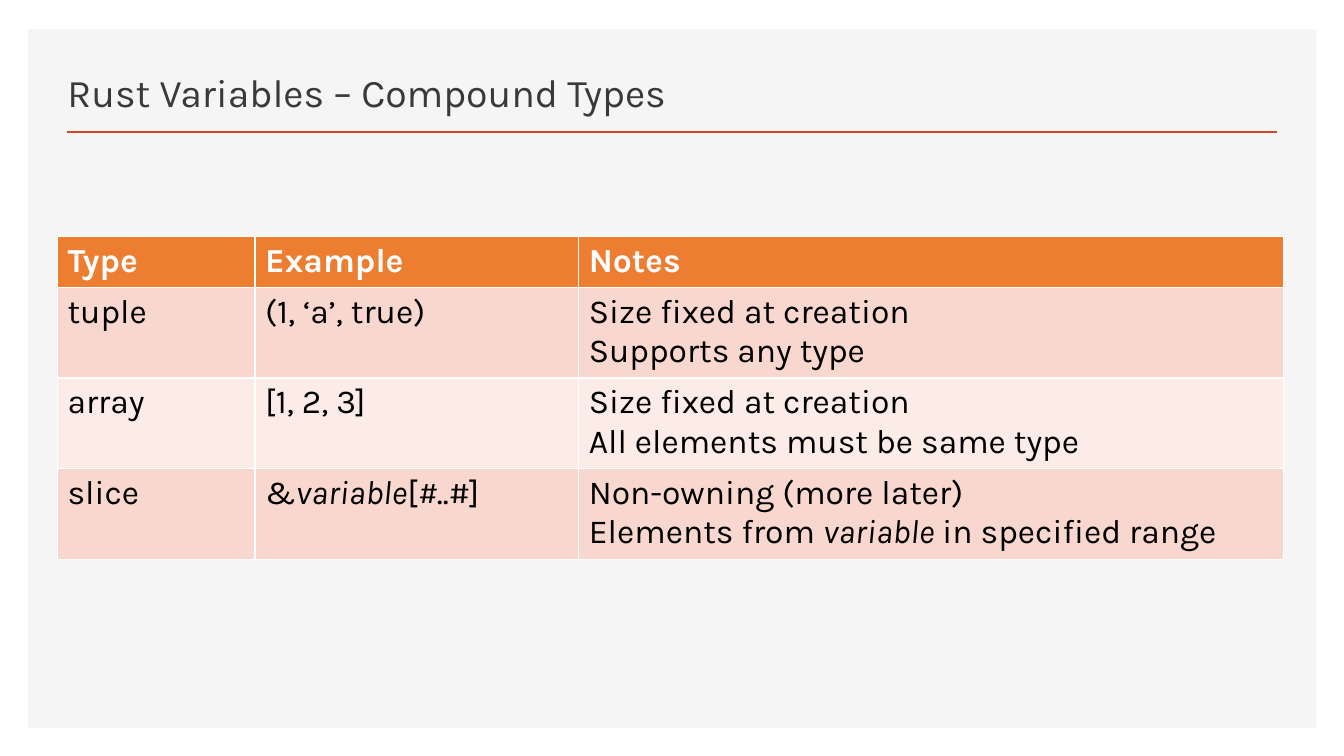
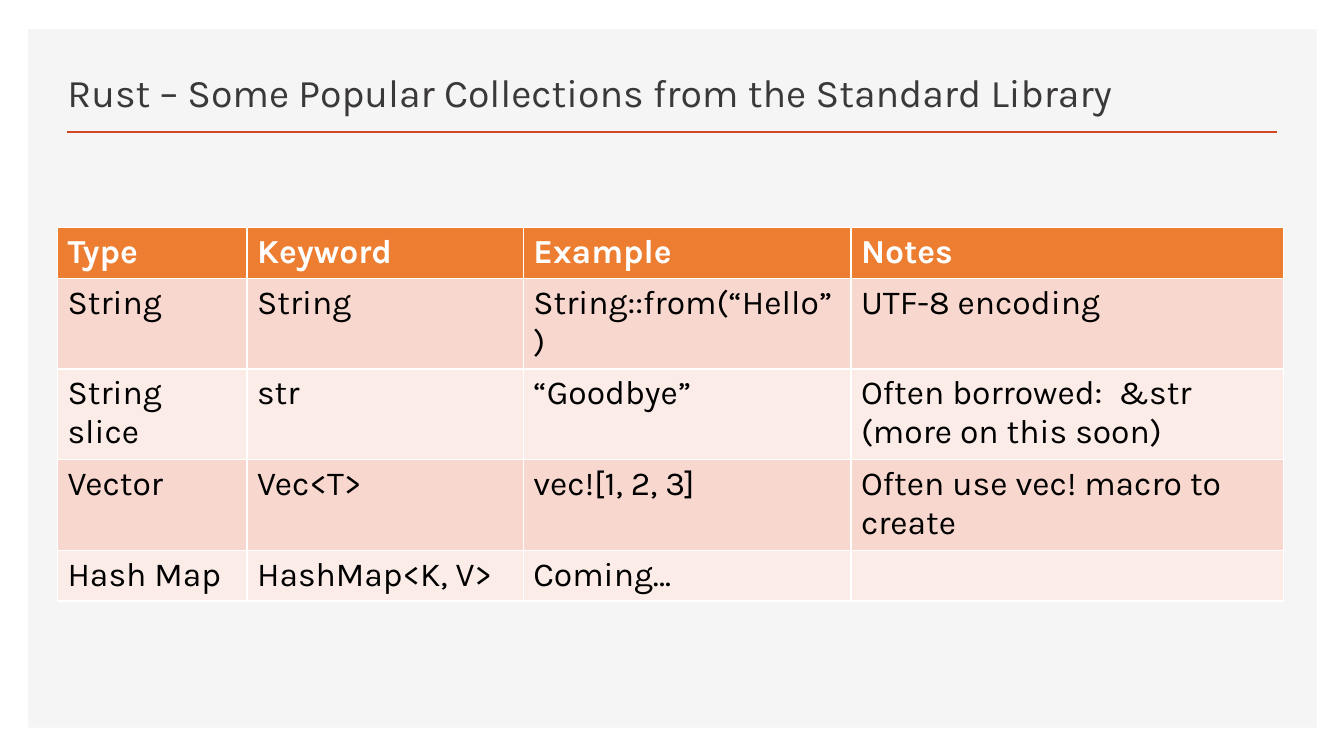
from pptx import Presentation, util as u
from pptx.dml.color import RGBColor
from pptx.enum import shapes, text
from lxml import etree

# Shared look
FONT = "Karla"
PANEL = RGBColor(0xF5, 0xF5, 0xF5)
RULE = RGBColor(0xD2, 0x47, 0x26)
TITLE = RGBColor(0x3B, 0x38, 0x38)
HEAD = RGBColor(0xED, 0x7D, 0x31)
BANDS = (RGBColor(0xFC, 0xEC, 0xE8), RGBColor(0xF8, 0xD7, 0xCE))
WHITE = RGBColor(0xFF, 0xFF, 0xFF)
BLACK = RGBColor(0, 0, 0)

# Slide size and content column, in inches
WIDE, HIGH = 13.33, 7.5
LEFT, SPAN = 0.57, 12.16
ROW = 0.41
A_NS = "http://schemas.openxmlformats.org/drawingml/2006/main"

# Each table: title, top, column widths, rows; *stars* mark italics
TABLES = [
    ("Rust Variables – Compound Types", 2.35, (1.96, 3.21, 6.99), [
        ("Type", "Example", "Notes"),
        ("tuple", "(1, ‘a’, true)",
         "Size fixed at creation\nSupports any type"),
        ("array", "[1, 2, 3]",
         "Size fixed at creation\nAll elements must be same type"),
        ("slice", "&*variable*[*#*..#]",
         "Non-owning (more later)\n"
         "Elements from *variable* in specified range"),
    ]),
    ("Rust – Some Popular Collections from the Standard Library", 2.26,
     (1.88, 2.74, 3.25, 4.29), [
        ("Type", "Keyword", "Example", "Notes"),
        ("String", "String", "String::from(“Hello”)", "UTF-8 encoding"),
        ("String slice", "str", "“Goodbye”",
         "Often borrowed:  &str\n(more on this soon)"),
        ("Vector", "Vec<T>", "vec![1, 2, 3]",
         "Often use vec! macro to create"),
        ("Hash Map", "HashMap<K, V>", "Coming…", ""),
    ]),
]


def box(*sizes):
    return [u.Inches(size) for size in sizes]


def style(para, size, color, bold=False):
    font = para.font
    font.name, font.size, font.bold = FONT, u.Pt(size), bold
    font.color.rgb = color


def write(para, words):
    """Add runs, with italics between stars and breaks at line ends."""
    for row, line in enumerate(words.split("\n")):
        if row:
            para.add_line_break()
        for n, part in enumerate(line.split("*")):
            if part:
                run = para.add_run()
                run.text = part
                if n % 2:
                    run.font.italic = True


def frame(slide):
    # Grey panel
    panel = slide.shapes.add_shape(
        shapes.MSO_SHAPE.RECTANGLE, *box(0.28, 0.29, 12.78, 6.93))
    panel.shadow.inherit = False
    panel.fill.solid()
    panel.fill.fore_color.rgb = PANEL
    panel.line.fill.background()
    # Rule under the title
    rule = slide.shapes.add_connector(
        shapes.MSO_CONNECTOR.STRAIGHT, *box(0.66, 1.31, 12.67, 1.31))
    rule.line.color.rgb = RULE
    rule.line.width = u.Pt(2)
    etree.SubElement(rule._element.spPr, f"{{{A_NS}}}effectLst")


def title(slide, words):
    body = slide.shapes.add_textbox(*box(LEFT, 0.49, SPAN, 0.7)).text_frame
    body.word_wrap = True
    body.vertical_anchor = text.MSO_ANCHOR.BOTTOM
    para = body.paragraphs[0]
    write(para, words)
    style(para, 28, TITLE)


def grid(slide, top, cols, rows):
    table = slide.shapes.add_table(
        len(rows), len(cols), *box(LEFT, top, SPAN, ROW * len(rows))).table
    for col, width in zip(table.columns, cols):
        col.width = u.Inches(width)
    for r, row in enumerate(rows):
        for c, words in enumerate(row):
            cell = table.cell(r, c)
            cell.fill.solid()
            cell.fill.fore_color.rgb = BANDS[r % 2] if r else HEAD
            para = cell.text_frame.paragraphs[0]
            write(para, words)
            style(para, 24, BLACK if r else WHITE, bold=r == 0)


def main():
    deck = Presentation()
    deck.slide_width, deck.slide_height = box(WIDE, HIGH)
    for name, top, cols, rows in TABLES:
        slide = deck.slides.add_slide(deck.slide_layouts[6])
        frame(slide)
        title(slide, name)
        grid(slide, top, cols, rows)
    deck.save("out.pptx")


if __name__ == "__main__":
    main()
